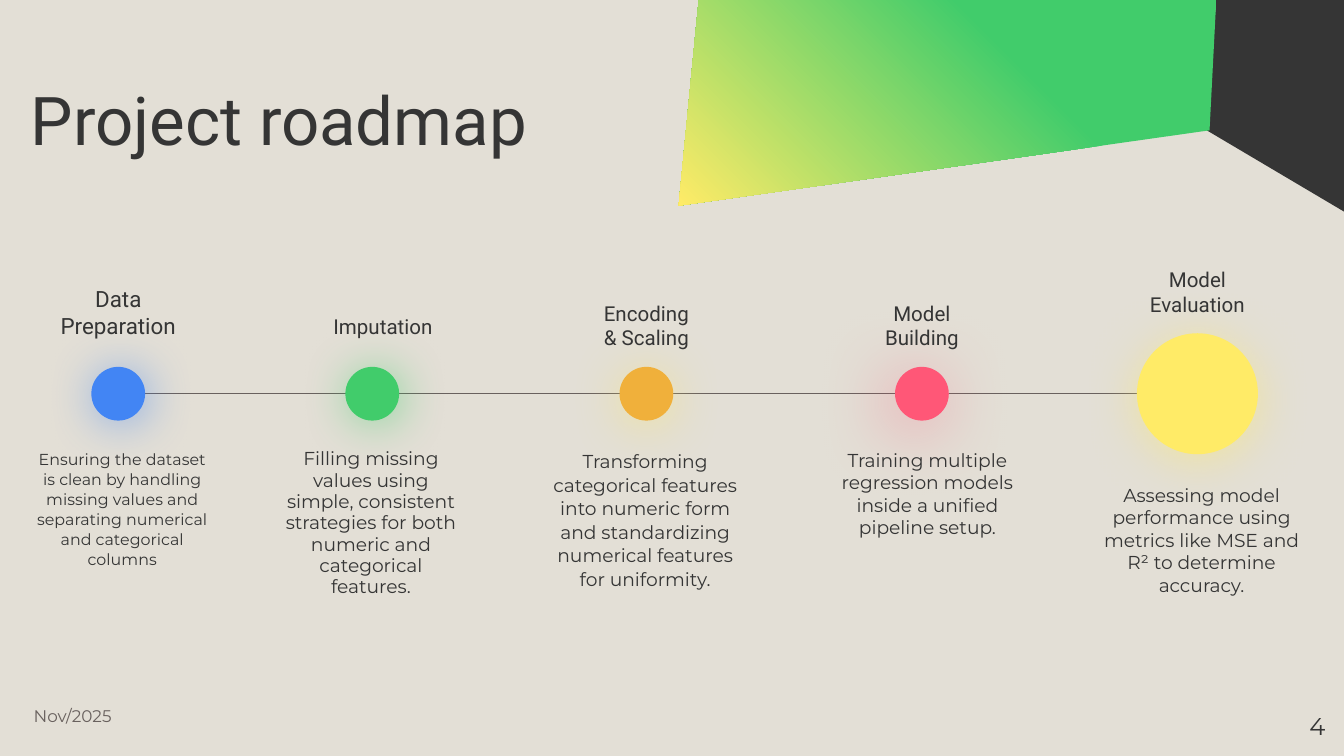
from dataclasses import dataclass

from lxml.etree import SubElement
from pptx import Presentation
from pptx.dml.color import RGBColor
from pptx.enum.shapes import MSO_CONNECTOR as Connector, MSO_SHAPE as Shape
from pptx.enum.text import MSO_ANCHOR as Anchor, MSO_AUTO_SIZE as AutoSize, PP_ALIGN as Align
from pptx.oxml.ns import qn
from pptx.util import Inches, Pt


@dataclass(frozen=True)
class Theme:
    paper: str = "E3DFD6"
    ink: str = "353535"
    muted: str = "69615E"
    green: str = "41CC6B"
    yellow: str = "FFEB67"
    orange: str = "F0B03B"
    blue: str = "4285F4"
    pink: str = "FF5777"
    heading_font: str = "Roboto"
    body_font: str = "Montserrat"
    title_size: float = 36
    step_size: float = 11
    body_size: float = 10
    date_size: float = 9
    number_size: float = 13


THEME = Theme()
AXIS_Y = 2.93
SOFT_GLOW = dict(alpha=56, blur=25.9, distance=2.2, angle=45)
WARM_GLOW = dict(alpha=50, blur=27, distance=3, angle=90)
WIDE_GLOW = dict(alpha=50, blur=38.2, distance=6, angle=130)

STEPS = [
    dict(
        name="Data Preparation", name_box=(0.88, 2.32, 1.39), name_size=12,
        detail="Ensuring the dataset is clean by handling missing values and "
               "separating numerical and categorical columns",
        detail_box=(0.91, 3.24, 1.5), detail_size=8.5, spacing=1.05,
        center=0.88, diameter=0.4, color=THEME.blue, glow=THEME.blue, glow_style=SOFT_GLOW,
    ),
    dict(
        name="Imputation", name_box=(2.85, 2.43, 1.11),
        detail="Filling missing values using simple, consistent strategies for both "
               "numeric and categorical features.",
        detail_box=(2.76, 3.24, 1.5), spacing=0.95,
        center=2.77, diameter=0.4, color=THEME.green, glow=THEME.green, glow_style=SOFT_GLOW,
    ),
    dict(
        name="Encoding & Scaling", name_box=(4.81, 2.42, 0.9),
        detail="Transforming categorical features into numeric form and standardizing "
               "numerical features for uniformity.",
        detail_box=(4.8, 3.24, 1.68), spacing=1.05,
        center=4.81, diameter=0.4, color=THEME.orange, glow=THEME.yellow, glow_style=WARM_GLOW,
    ),
    dict(
        name="Model Building", name_box=(6.86, 2.42, 0.9),
        detail="Training multiple regression models inside a unified pipeline setup.",
        detail_box=(6.9, 3.24, 1.63), spacing=1,
        center=6.86, diameter=0.4, color=THEME.pink, glow=THEME.pink, glow_style=WIDE_GLOW,
    ),
    dict(
        name="Model Evaluation", name_box=(8.91, 2.17, 1),
        detail="Assessing model performance using metrics like MSE and R² to determine accuracy.",
        detail_box=(8.94, 3.5, 1.8), spacing=1,
        center=8.91, diameter=0.9, color=THEME.yellow, glow=THEME.yellow, glow_style=WARM_GLOW,
    ),
]

DARK_CORNER = [(8.98, 0.97), (10.01, 1.58), (10.01, -0.01), (9.05, -0.01)]
GREEN_PANEL = [(5.2, -0.01), (5.05, 1.53), (9, 0.97), (9.05, 0)]
PANEL_STOPS = [(0, THEME.green), (35, THEME.green), (100, THEME.yellow)]

prs = Presentation()
prs.slide_width = Inches(10)
prs.slide_height = prs.slide_width * 9 // 16
slide = prs.slides.add_slide(prs.slide_layouts[5])
slide.background.fill.solid()
slide.background.fill.fore_color.rgb = RGBColor.from_string(THEME.paper)


def write(text, box, holder=None, size=THEME.body_size, font=THEME.body_font,
          color=THEME.ink, align=Align.CENTER, anchor=Anchor.TOP, spacing=1, inset=0.1):
    left, top, width, height = map(Inches, box)
    holder = holder or slide.shapes.add_textbox(left, top, width, height)
    holder.left, holder.top, holder.width, holder.height = left, top, width, height
    frame = holder.text_frame
    frame.word_wrap = True
    frame.auto_size = AutoSize.NONE
    frame.vertical_anchor = anchor
    frame.margin_left = frame.margin_right = Inches(inset)
    frame.margin_top = frame.margin_bottom = Inches(inset)
    paragraph = frame.paragraphs[0]
    paragraph.alignment = align
    paragraph.line_spacing = spacing
    run = paragraph.add_run()
    run.text = text
    run.font.size, run.font.name = Pt(size), font
    run.font.color.rgb = RGBColor.from_string(color)


def paint(shape, color):
    shape.fill.solid()
    shape.fill.fore_color.rgb = RGBColor.from_string(color)
    shape.line.fill.background()
    shape.shadow.inherit = False


def add_polygon(points, color):
    corners = [(Inches(x), Inches(y)) for x, y in points]
    builder = slide.shapes.build_freeform(*corners[0])
    builder.add_line_segments(corners[1:], close=True)
    polygon = builder.convert_to_shape()
    paint(polygon, color)
    return polygon


def add_gradient(shape, stops, angle):
    solid = shape._element.spPr.find(qn("a:solidFill"))
    gradient = solid.makeelement(qn("a:gradFill"), {"rotWithShape": "1"})
    stop_list = SubElement(gradient, qn("a:gsLst"))
    for position, color in stops:
        stop = SubElement(stop_list, qn("a:gs"), pos=str(position * 1000))
        SubElement(stop, qn("a:srgbClr"), val=color)
    SubElement(gradient, qn("a:lin"), ang=str(angle * 60000), scaled="0")
    solid.getparent().replace(solid, gradient)


def add_glow(shape, color, alpha, blur, distance, angle):
    effects = shape._element.spPr.find(qn("a:effectLst"))
    shadow = SubElement(effects, qn("a:outerShdw"), blurRad=str(Pt(blur)), dist=str(Pt(distance)),
                        dir=str(angle * 60000), algn="bl", rotWithShape="0")
    tint = SubElement(shadow, qn("a:srgbClr"), val=color)
    SubElement(tint, qn("a:alpha"), val=str(alpha * 1000))


add_polygon(DARK_CORNER, THEME.ink)
add_gradient(add_polygon(GREEN_PANEL, THEME.green), PANEL_STOPS, 135)

axis = slide.shapes.add_connector(
    Connector.STRAIGHT, Inches(0.75), Inches(AXIS_Y), Inches(9.15), Inches(AXIS_Y))
axis.line.color.rgb = RGBColor.from_string(THEME.muted)
axis.line.width = Pt(0.75)
SubElement(axis._element.spPr, qn("a:effectLst"))

write("Project roadmap", (0.13, 0.55, 6.37, 0.75), holder=slide.shapes.title,
      size=THEME.title_size, font=THEME.heading_font, align=Align.LEFT, spacing=0.9)

for step in STEPS:
    diameter = step["diameter"]
    marker = slide.shapes.add_shape(
        Shape.OVAL, Inches(step["center"] - diameter / 2), Inches(AXIS_Y - diameter / 2),
        Inches(diameter), Inches(diameter))
    paint(marker, step["color"])
    add_glow(marker, step["glow"], **step["glow_style"])

    center, middle, width = step["name_box"]
    write(step["name"], (center - width / 2, middle - 0.2, width, 0.4),
          size=step.get("name_size", THEME.step_size), font=THEME.heading_font,
          anchor=Anchor.MIDDLE)

    center, top, width = step["detail_box"]
    write(step["detail"], (center - width / 2, top, width, 1.16),
          size=step.get("detail_size", THEME.body_size), spacing=step["spacing"])

write("Nov/2025", (0.25, 5.22, 2.12, 0.21), size=THEME.date_size, color=THEME.muted,
      align=Align.LEFT, anchor=Anchor.MIDDLE, inset=0)
write("4", (9.36, 5.19, 0.6, 0.43), size=THEME.number_size, align=Align.RIGHT)

prs.save("out.pptx")
